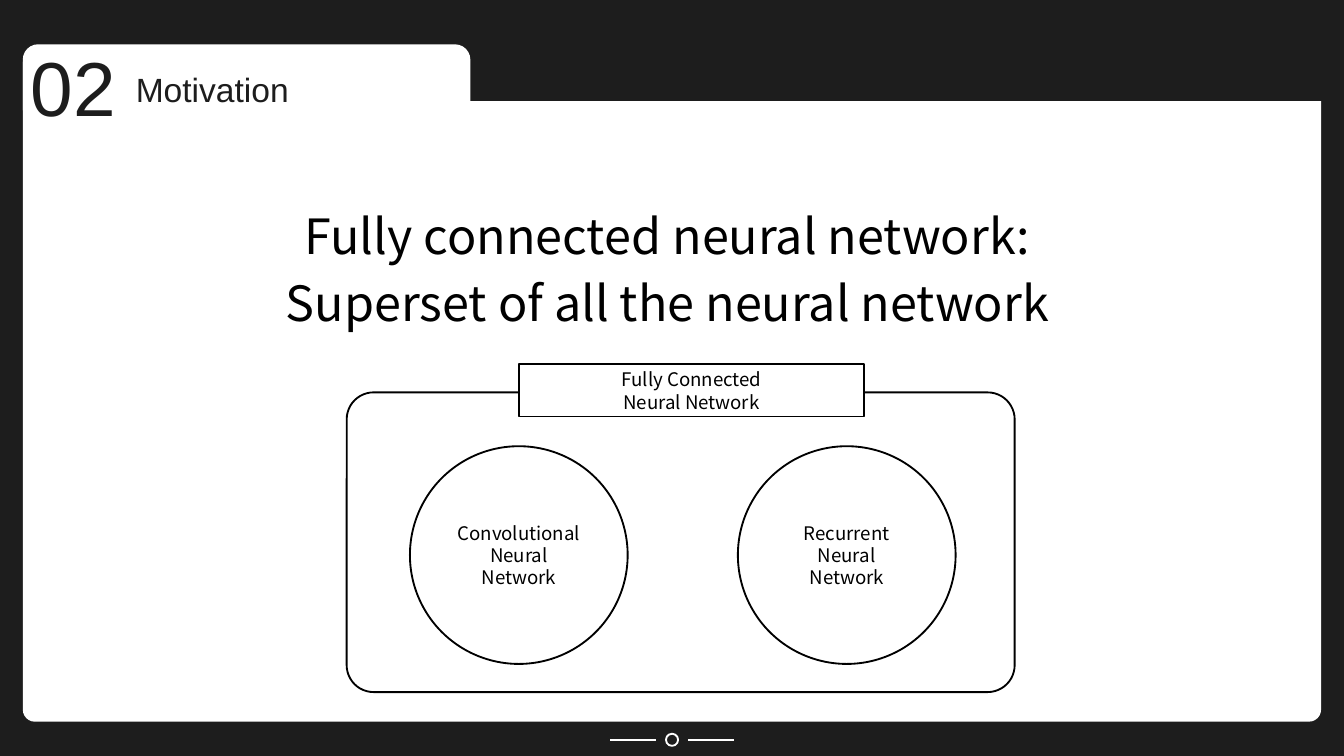
from lxml import etree
from pptx import Presentation
from pptx.dml.color import RGBColor
from pptx.enum.shapes import MSO_CONNECTOR, MSO_SHAPE
from pptx.enum.text import MSO_ANCHOR, MSO_AUTO_SIZE, PP_ALIGN
from pptx.oxml.ns import qn
from pptx.util import Inches, Pt

ROUNDED, RECT, OVAL = MSO_SHAPE.ROUNDED_RECTANGLE, MSO_SHAPE.RECTANGLE, MSO_SHAPE.OVAL
STRAIGHT = MSO_CONNECTOR.STRAIGHT
TOP, MIDDLE = MSO_ANCHOR.TOP, MSO_ANCHOR.MIDDLE
LEFT, CENTER = PP_ALIGN.LEFT, PP_ALIGN.CENTER
NO_AUTOFIT = MSO_AUTO_SIZE.NONE
DARK, WHITE, BLACK = "1D1D1D", "FFFFFF", "000000"
HEADING_FONT, BODY_FONT = "Arial", "Noto Sans CJK KR"
SLIDE_WIDTH = 10
SLIDE_HEIGHT = SLIDE_WIDTH * 9 / 16


def color(hex_value):
    return RGBColor.from_string(hex_value)


def place(item, left, top, width, height):
    item.left, item.top = Inches(left), Inches(top)
    item.width, item.height = Inches(width), Inches(height)


def write(item, text, size, font, ink, align=LEFT, anchor=TOP, spacing=None):
    frame = item.text_frame
    frame.text = text
    frame.word_wrap = True
    frame.auto_size = NO_AUTOFIT
    frame.vertical_anchor = anchor
    frame.margin_left = frame.margin_right = Inches(0.07)
    frame.margin_top = frame.margin_bottom = Inches(0.04)
    for paragraph in frame.paragraphs:
        paragraph.alignment = align
        if spacing:
            paragraph.line_spacing = spacing
        for run in paragraph.runs:
            run.font.size = Pt(size)
            run.font.name = font
            run.font.color.rgb = color(ink)


def add_shape(slide, kind, box, fill=None, line=None, rounding=None):
    shape = slide.shapes.add_shape(kind, *map(Inches, box))
    shape.shadow.inherit = False
    if rounding is not None:
        shape.adjustments[0] = rounding
    if fill:
        shape.fill.solid()
        shape.fill.fore_color.rgb = color(fill)
    else:
        shape.fill.background()
    if line:
        shape.line.color.rgb = color(line)
        shape.line.width = Pt(1)
    else:
        shape.line.fill.background()
    return shape


def add_text(slide, box, text, size, font, ink, **layout):
    write(slide.shapes.add_textbox(*map(Inches, box)), text, size, font, ink, **layout)


def add_folder(slide, left, top, width, height):
    add_shape(slide, ROUNDED, (left, top + 0.05, width, height - 0.05), WHITE, rounding=0.018)
    add_shape(slide, ROUNDED, (left + 2.64, top + 0.03, 7.11, 0.39), DARK, rounding=0.048)
    add_shape(slide, ROUNDED, (left, top, 3.33, 0.59), WHITE, rounding=0.192)


def add_footer_mark(slide, left, top, width, height):
    middle = top + height / 2
    dash = 0.34
    add_shape(slide, OVAL, (left + (width - height) / 2, top, height, height), line=WHITE)
    for start in (left + width - dash, left):
        points = (start, middle, start + dash, middle)
        connector = slide.shapes.add_connector(STRAIGHT, *map(Inches, points))
        connector.line.color.rgb = color(WHITE)
        connector.line.width = Pt(1)
        etree.SubElement(connector._element.spPr, qn("a:effectLst"))


def add_heading(slide, left, top, number, title):
    heading = slide.shapes.title
    slide.shapes._spTree.append(heading._element)
    place(heading, left + 0.78, top + 0.21, 2.52, 0.38)
    write(heading, title, 18, HEADING_FONT, DARK)
    add_text(slide, (left, top, 0.79, 0.76), number, 41, HEADING_FONT, DARK)


def add_set_diagram(slide, left, top, width, height, superset, subsets):
    def labelled(kind, box, text):
        shape = add_shape(slide, kind, box, WHITE, BLACK)
        write(shape, text, 10, BODY_FONT, BLACK, align=CENTER, anchor=MIDDLE)

    def subset_circle(index):
        box = (left + 0.47 + index * 2.44, top + 0.4, 1.62, 1.62)
        labelled(OVAL, box, subsets[index])

    add_shape(slide, ROUNDED, (left, top, width, height), WHITE, BLACK, rounding=0.09)
    subset_circle(0)
    labelled(RECT, (left + 1.28, top - 0.21, 2.57, 0.39), superset)
    subset_circle(1)


def main():
    presentation = Presentation()
    presentation.slide_width = Inches(SLIDE_WIDTH)
    presentation.slide_height = Inches(SLIDE_HEIGHT)
    slide = presentation.slides.add_slide(presentation.slide_layouts[5])
    slide.background.fill.solid()
    slide.background.fill.fore_color.rgb = color(DARK)

    add_folder(slide, 0.17, 0.33, 9.66, 5.04)
    add_footer_mark(slide, 4.54, 5.46, 0.92, 0.09)
    add_heading(slide, 0.16, 0.26, "02", "Motivation")
    add_text(slide, (0.14, 1.43, 9.66, 0.96),
             "Fully connected neural network:\nSuperset of all the neural network",
             26, BODY_FONT, BLACK, align=CENTER, spacing=1.15)
    add_set_diagram(slide, 2.58, 2.92, 4.97, 2.23, "Fully Connected\nNeural Network",
                    ["Convolutional\nNeural Network", "Recurrent\nNeural Network"])
    presentation.save("out.pptx")


if __name__ == "__main__":
    main()
